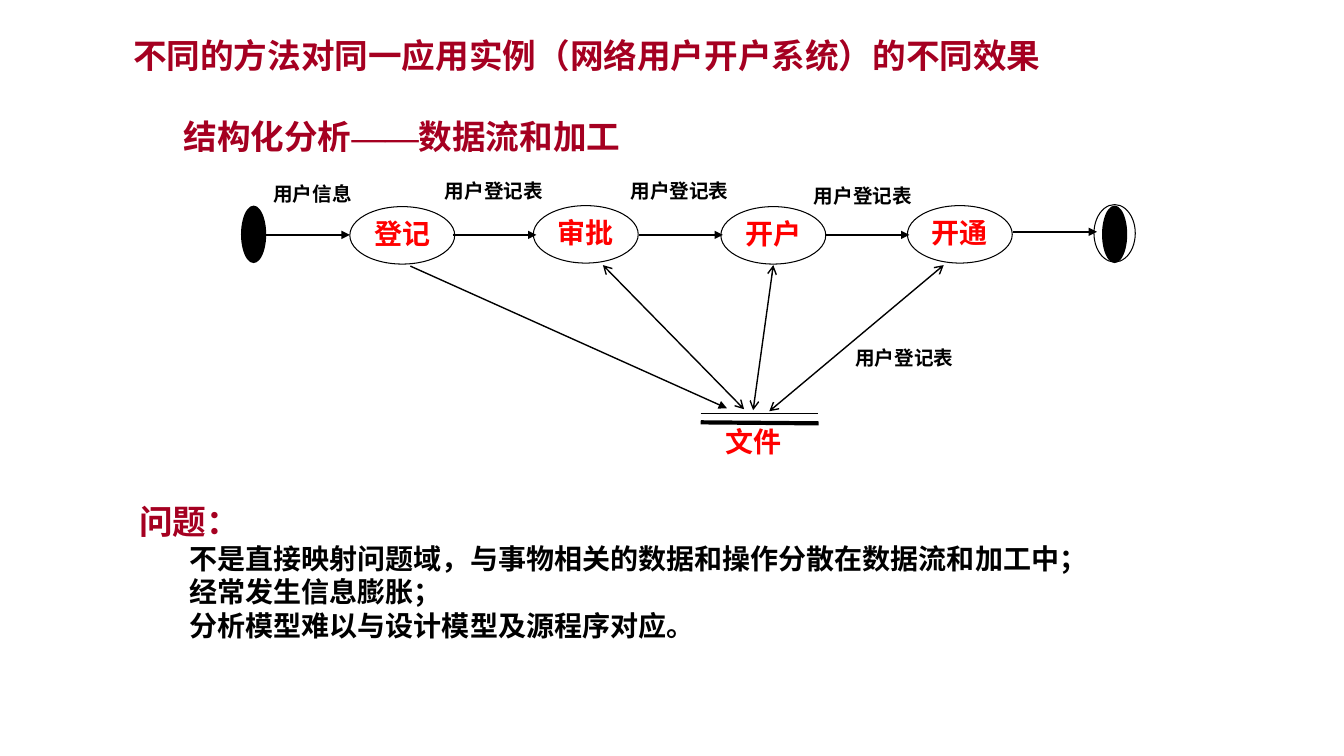
"""Builds a slide on structured analysis of an account-opening system."""
from dataclasses import dataclass

from lxml import etree
from pptx import Presentation
from pptx import util as u
from pptx.dml.color import RGBColor
from pptx.enum import shapes, text
from pptx.oxml import ns


@dataclass(frozen=True)
class Theme:
    """Colours, fonts and type sizes."""
    heading: RGBColor = RGBColor(0xA5, 0x00, 0x21)
    name: RGBColor = RGBColor(0xFF, 0x00, 0x00)
    ink: RGBColor = RGBColor(0x00, 0x00, 0x00)
    latin: str = "Times New Roman"
    asian: str = "Noto Sans CJK SC"
    large: int = 24
    medium: int = 20
    small: int = 14
    leading: float = 1.2


def px(length):
    """Turns px into EMU, at 100 px to the inch."""
    return u.Emu(length * 9144)


class Painter:
    """Draws styled elements on the current slide."""

    def __init__(self, page, theme):
        self.page = page
        self.theme = theme

    def add_span(self, para, words, size, color, dash=False):
        """Adds one bold run to a paragraph."""
        theme = self.theme
        para.line_spacing = u.Pt(size * theme.leading)
        para.space_before = u.Pt(0)
        span = para.add_run()
        span.text = words
        span.font.size = u.Pt(size)
        span.font.bold = True
        span.font.color.rgb = color
        span.font.name = theme.asian if dash else theme.latin
        asian = etree.SubElement(span.font._element, ns.qn("a:ea"))
        asian.set("typeface", theme.latin if dash else theme.asian)

    def frame(self, box, wrap=True, anchor=text.MSO_ANCHOR.TOP):
        """Clears the insets of a box and returns its text frame."""
        frame = box.text_frame
        frame.margin_left = frame.margin_right = 0
        frame.margin_top = frame.margin_bottom = 0
        frame.word_wrap = wrap
        frame.auto_size = text.MSO_AUTO_SIZE.NONE
        frame.vertical_anchor = anchor
        return frame

    def title(self, left, top, width, height, words):
        """Places and fills the title placeholder."""
        box = self.page.shapes.title
        box.left, box.top, box.width, box.height = map(px, (left, top, width, height))
        para = self.frame(box).paragraphs[0]
        para.alignment = text.PP_ALIGN.LEFT
        self.add_span(para, words, self.theme.large, self.theme.heading)

    def box(self, left, top, width, height, wrap=True):
        """Adds a text box and returns its text frame."""
        box = self.page.shapes.add_textbox(*map(px, (left, top, width, height)))
        return self.frame(box, wrap)

    def label(self, left, top, width, height, words, size, color):
        """Adds a centred one-line label."""
        para = self.box(left, top, width, height, wrap=False).paragraphs[0]
        para.alignment = text.PP_ALIGN.CENTER
        self.add_span(para, words, size, color)

    def ellipse(self, left, top, width, height, solid=False, words=""):
        """Adds a filled or outlined ellipse, with a name if given."""
        shape = self.page.shapes.add_shape(
            shapes.MSO_SHAPE.OVAL, *map(px, (left, top, width, height)))
        shape.shadow.inherit = False
        if solid:
            shape.fill.solid()
            shape.fill.fore_color.rgb = self.theme.ink
            shape.line.fill.background()
        else:
            shape.fill.background()
            shape.line.color.rgb = self.theme.ink
            shape.line.width = u.Pt(0.75)
        if words:
            frame = self.frame(shape, False, text.MSO_ANCHOR.MIDDLE)
            frame.margin_bottom = px(4)
            para = frame.paragraphs[0]
            para.alignment = text.PP_ALIGN.CENTER
            self.add_span(para, words, self.theme.medium, self.theme.name)

    def line(self, start, end, weight=1, head=None, tail=None):
        """Adds a straight line with optional arrowheads."""
        line = self.page.shapes.add_connector(
            shapes.MSO_CONNECTOR.STRAIGHT, *map(px, start + end))
        line.line.color.rgb = self.theme.ink
        line.line.width = u.Pt(weight)
        for tag, kind in (("a:headEnd", head), ("a:tailEnd", tail)):
            if kind:
                etree.SubElement(line.line._get_or_add_ln(), ns.qn(tag)).set("type", kind)
        etree.SubElement(line._element.spPr, ns.qn("a:effectLst"))


def main():
    """Builds and saves the deck."""
    deck = Presentation()
    deck.slide_width, deck.slide_height = px(1333), px(750)
    theme = Theme()
    painter = Painter(deck.slides.add_slide(deck.slide_layouts[5]), theme)

    painter.title(132, 35, 1027, 40, "不同的方法对同一应用实例（网络用户开户系统）的不同效果")
    subtitle = painter.box(182, 115, 977, 40).paragraphs[0]
    for words, dash in (("结构化分析", False), ("——", True), ("数据流和加工", False)):
        painter.add_span(subtitle, words, theme.large, theme.heading, dash)

    painter.ellipse(239, 204, 25, 57, solid=True)
    for left, top, words in ((347, 205, "登记"), (529, 204, "审批"),
                             (715, 205, "开户"), (900, 204, "开通")):
        painter.ellipse(left, top, 104, 57, words=words)
    painter.ellipse(1093, 204, 25, 57, solid=True)
    painter.ellipse(1085, 203, 41, 57)

    for left, y in ((264, 233), (449, 233), (634, 233), (819, 233), (1005, 230)):
        painter.line((left, y), (left + 83, y), tail="triangle")

    painter.line((407, 264), (721, 405), tail="triangle")
    for step, store in (((598, 263), (738, 406)), ((767, 263), (747, 407)),
                        ((936, 263), (763, 408))):
        painter.line(step, store, head="arrow", tail="arrow")

    painter.line((695, 410), (811, 410), weight=0.75)
    painter.line((695, 419), (812, 420), weight=3)
    painter.label(719, 421, 56, 33, "文件", theme.medium, theme.name)

    painter.label(271, 180, 78, 24, "用户信息", theme.small, theme.ink)
    for left, top in ((441, 178), (625, 178), (807, 182), (848, 343)):
        painter.label(left, top, 98, 24, "用户登记表", theme.small, theme.ink)

    problems = painter.box(138, 497, 1065, 141)
    painter.add_span(problems.paragraphs[0], "问题：", theme.large, theme.heading)
    for words in ("不是直接映射问题域，与事物相关的数据和操作分散在数据流和加工中；",
                  "经常发生信息膨胀；", "分析模型难以与设计模型及源程序对应。"):
        para = problems.add_paragraph()
        para._p.get_or_add_pPr().set("marL", str(px(50)))
        painter.add_span(para, words, theme.medium, theme.ink)

    deck.save("out.pptx")


if __name__ == "__main__":
    main()
